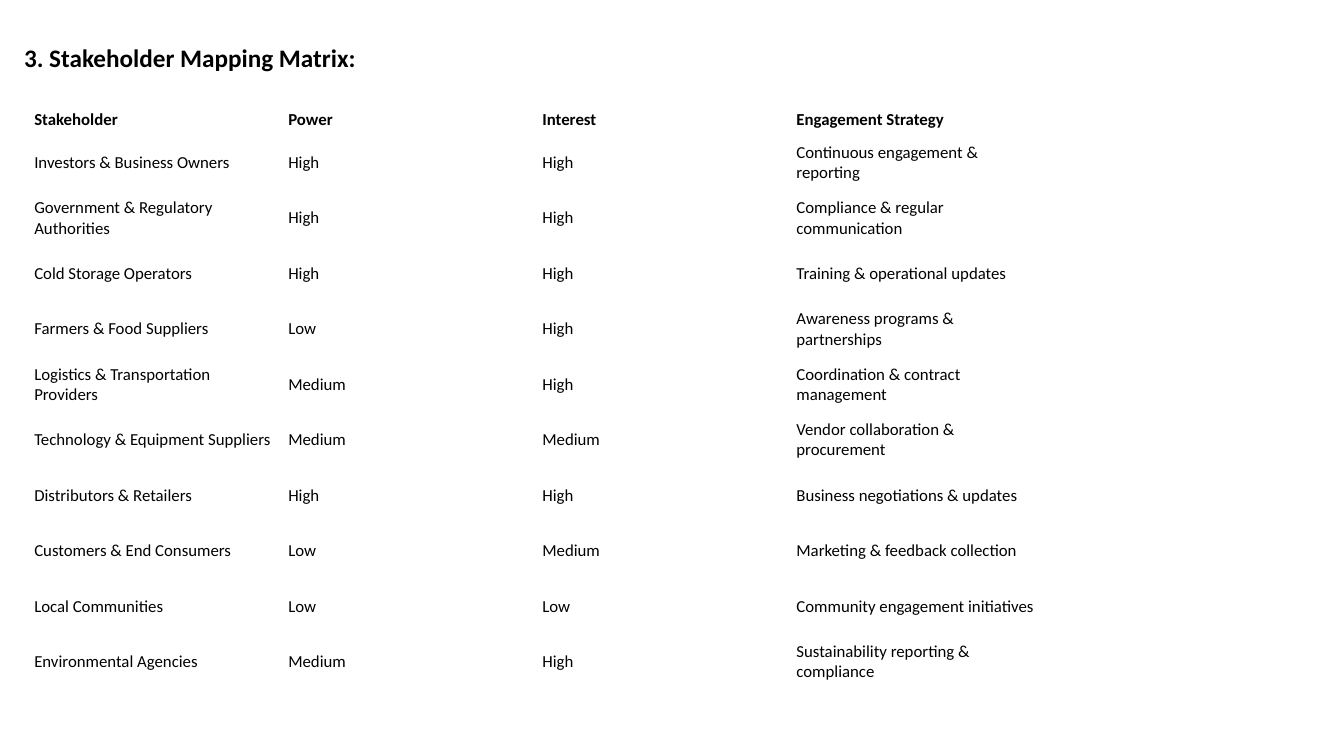
from pptx import Presentation
from pptx.dml.color import RGBColor
from pptx.enum.text import MSO_ANCHOR, MSO_AUTO_SIZE
from pptx.oxml.ns import qn
from pptx.util import Pt

TITLE = "3. Stakeholder Mapping Matrix:"
HEADS = ("Stakeholder", "Power", "Interest", "Engagement Strategy")
ROWS = [
    ("Investors & Business Owners", "High", "High", "Continuous engagement & reporting"),
    ("Government & Regulatory Authorities", "High", "High", "Compliance & regular communication"),
    ("Cold Storage Operators", "High", "High", "Training & operational updates"),
    ("Farmers & Food Suppliers", "Low", "High", "Awareness programs & partnerships"),
    ("Logistics & Transportation Providers", "Medium", "High", "Coordination & contract management"),
    ("Technology & Equipment Suppliers", "Medium", "Medium", "Vendor collaboration & procurement"),
    ("Distributors & Retailers", "High", "High", "Business negotiations & updates"),
    ("Customers & End Consumers", "Low", "Medium", "Marketing & feedback collection"),
    ("Local Communities", "Low", "Low", "Community engagement initiatives"),
    ("Environmental Agencies", "Medium", "High", "Sustainability reporting & compliance"),
]

BLACK = RGBColor(0x00, 0x00, 0x00)
FONT = "Calibri"
PLAIN = "{2D5ABB26-0587-4C30-8999-92F81FD0307C}"
SCALE = 9144
COL_W, HEAD_H, ROW_H = 252, 31, 55
PAD_X, PAD_Y = 6, 3


def px(*sizes):
    return [size * SCALE for size in sizes]


def write(frame, text, size=12, bold=False):
    run = frame.paragraphs[0].add_run()
    run.text = text
    font = run.font
    font.name, font.size, font.bold = FONT, Pt(size), bold
    font.color.rgb = BLACK


def add_title(slide):
    frame = slide.shapes.add_textbox(*px(14, 37, 972, 40)).text_frame
    frame.word_wrap = True
    frame.auto_size = MSO_AUTO_SIZE.SHAPE_TO_FIT_TEXT
    write(frame, TITLE, size=18, bold=True)


def add_matrix(slide):
    lines = [HEADS, *ROWS]
    width = COL_W * len(HEADS)
    height = HEAD_H + ROW_H * len(ROWS)
    shape = slide.shapes.add_table(len(lines), len(HEADS), *px(28, 103, width, height))
    table = shape.table
    table.horz_banding = False
    table._tbl.tblPr.find(qn("a:tableStyleId")).text = PLAIN
    for col in table.columns:
        col.width = COL_W * SCALE
    for i, line in enumerate(lines):
        table.rows[i].height = (ROW_H if i else HEAD_H) * SCALE
        for j, text in enumerate(line):
            cell = table.cell(i, j)
            cell.fill.background()
            cell.vertical_anchor = MSO_ANCHOR.MIDDLE
            cell.margin_left = cell.margin_right = PAD_X * SCALE
            cell.margin_top = cell.margin_bottom = PAD_Y * SCALE
            write(cell.text_frame, text, bold=i == 0)


def main():
    deck = Presentation()
    deck.slide_width, deck.slide_height = px(1333, 750)
    slide = deck.slides.add_slide(deck.slide_layouts[6])
    add_matrix(slide)
    add_title(slide)
    deck.save("out.pptx")


if __name__ == "__main__":
    main()
